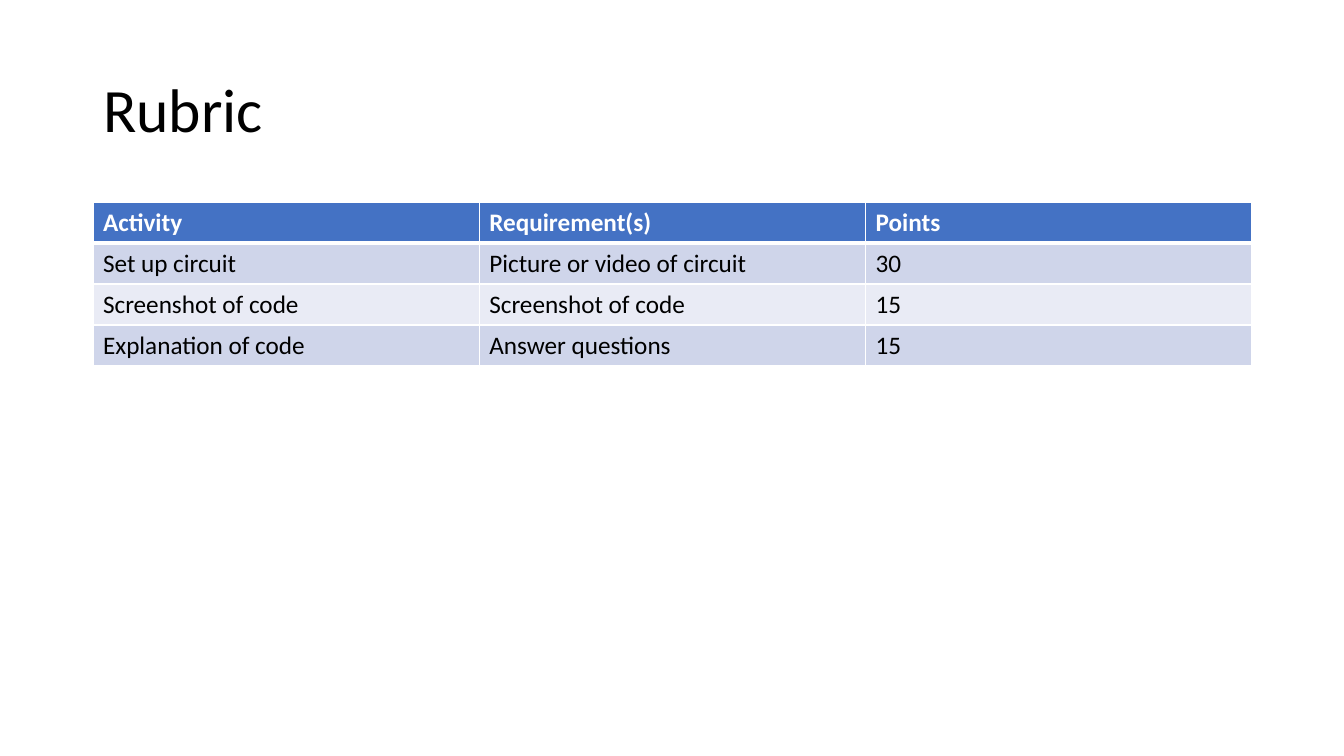
from lxml.etree import SubElement
from pptx import Presentation
from pptx.dml.color import RGBColor
from pptx.enum.text import MSO_ANCHOR, PP_ALIGN
from pptx.oxml.ns import qn
from pptx.util import Pt

TITLE = "Rubric"
ROWS = [
    ("Activity", "Requirement(s)", "Points"),
    ("Set up circuit", "Picture or video of circuit", "30"),
    ("Screenshot of code", "Screenshot of code", "15"),
    ("Explanation of code", "Answer questions", "15"),
]
THEME = {
    "font": "Calibri", "title": 44, "body": 18,
    "ink": "000000", "paper": "FFFFFF", "head": "4472C4",
    "bands": ("CFD5EA", "E9EBF5"), "thin": 1, "thick": 3,
}
LEFT, WIDTH = 93, 1159
TOP, ROW = 202, 41


def px(count):
    return round(count * 914400 / 100.8)


def write(frame, text, size=THEME["body"], color=THEME["ink"], bold=False, space=1.0):
    para = frame.paragraphs[0]
    para.alignment = PP_ALIGN.LEFT
    para.line_spacing = space
    run = para.add_run()
    run.text = text
    font = run.font
    font.name, font.size, font.bold = THEME["font"], Pt(size), bold
    font.color.rgb = RGBColor.from_string(color)


def border(cell, **sides):
    props = cell._tc.get_or_add_tcPr()
    for side, width in sides.items():
        line = SubElement(props, qn(f"a:ln{side}"), w=str(Pt(width)))
        fill = SubElement(line, qn("a:solidFill"))
        SubElement(fill, qn("a:srgbClr"), val=THEME["paper"])


deck = Presentation()
deck.slide_width, deck.slide_height = px(1344), px(756)
slide = deck.slides.add_slide(deck.slide_layouts[5])

title = slide.shapes.title
title.left, title.top, title.width, title.height = map(px, (LEFT, 40, WIDTH, 146))
title.text_frame.vertical_anchor = MSO_ANCHOR.MIDDLE
write(title.text_frame, TITLE, size=THEME["title"], space=0.9)

table = slide.shapes.add_table(
    len(ROWS), len(ROWS[0]), px(LEFT), px(TOP), px(WIDTH), px(ROW * len(ROWS))
).table
thin, thick = THEME["thin"], THEME["thick"]
for r, row in enumerate(ROWS):
    head = r == 0
    shade = THEME["head"] if head else THEME["bands"][(r - 1) % 2]
    for c, text in enumerate(row):
        cell = table.cell(r, c)
        border(cell, L=thin, R=thin, T=thick if r == 1 else thin, B=thick if head else thin)
        cell.fill.solid()
        cell.fill.fore_color.rgb = RGBColor.from_string(shade)
        write(cell.text_frame, text, color=THEME["paper" if head else "ink"], bold=head)

deck.save("out.pptx")
